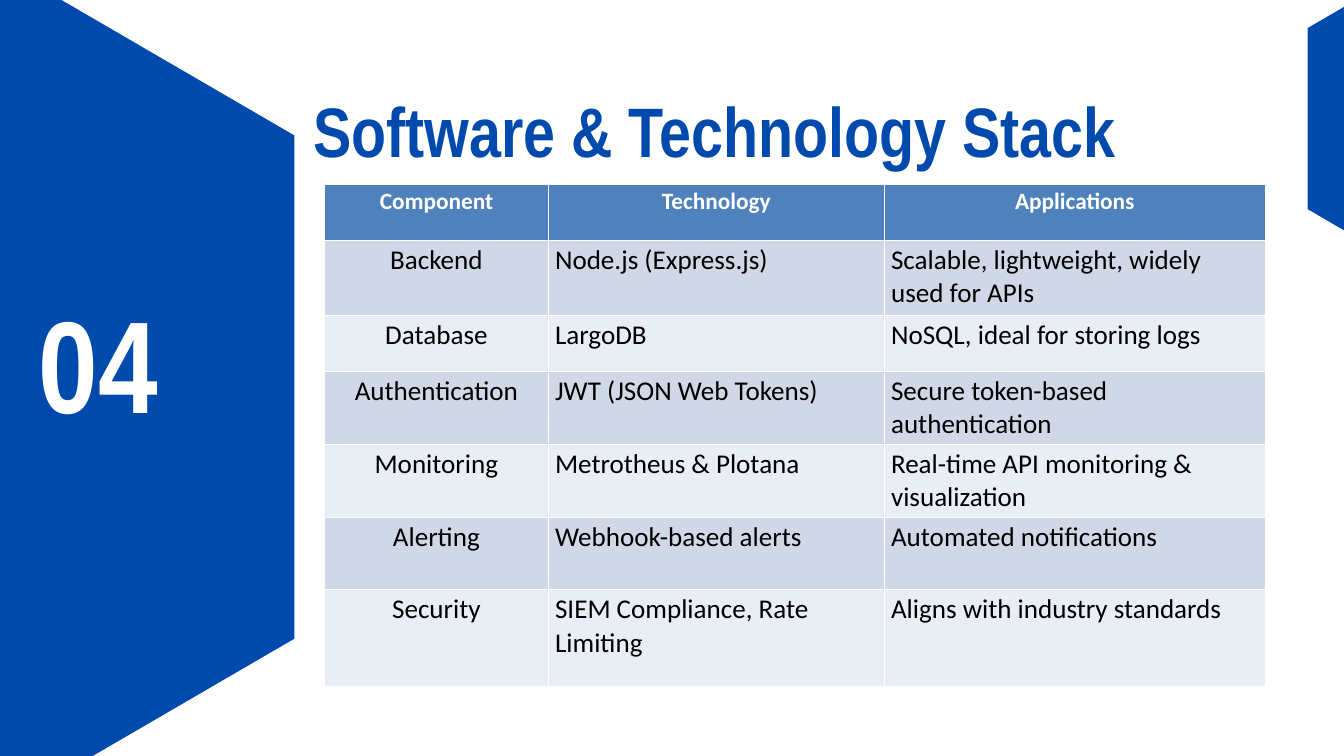
from pptx import Presentation
from pptx.dml.color import RGBColor
from pptx.enum.text import MSO_ANCHOR as Anchor, MSO_AUTO_SIZE as Auto, PP_ALIGN as Align
from pptx.util import Inches, Pt

COLORS = {
    "blue": "004AAD",
    "white": "FFFFFF",
    "black": "000000",
    "head": "4F81BD",
    "dark": "D0D8E8",
    "light": "E9EDF4",
}
COLS = [3.33, 5, 5.67]
ROWS = [
    (0.83, "Component", "Technology", "Applications"),
    (1.13, "Backend", "Node.js (Express.js)", "Scalable, lightweight, widely used for APIs"),
    (0.83, "Database", "LargoDB", "NoSQL, ideal for storing logs"),
    (0.75, "Authentication", "JWT (JSON Web Tokens)", "Secure token-based authentication"),
    (1, "Monitoring", "Metrotheus & Plotana", "Real-time API monitoring & visualization"),
    (1.08, "Alerting", "Webhook-based alerts", "Automated notifications"),
    (1.44, "Security", "SIEM Compliance, Rate Limiting", "Aligns with industry standards"),
]


def color(name):
    return RGBColor.from_string(COLORS[name])


def style(par, face, size, tint, bold, align=Align.LEFT):
    par.alignment = align
    font = par.font
    font.name, font.size, font.bold = face, Pt(size), bold
    font.color.rgb = color(tint)


def add_hexagon(slide, left, top, width, height):
    """Draw a hexagon that stands on a corner."""
    mid, right = left + width / 2, left + width
    high, low, foot = top + height / 4, top + height * 3 / 4, top + height
    points = [(right, high), (right, low), (mid, foot), (left, low), (left, high)]
    pen = slide.shapes.build_freeform(Inches(mid), Inches(top))
    pen.add_line_segments([(Inches(x), Inches(y)) for x, y in points])
    shape = pen.convert_to_shape()
    shape.shadow.inherit = False
    shape.fill.solid()
    shape.fill.fore_color.rgb = color("blue")
    shape.line.fill.background()


def set_heading(shape, box, text, size, lead, tint):
    """Place one bold line in a box without margins."""
    shape.left, shape.top, shape.width, shape.height = map(Inches, box)
    frame = shape.text_frame
    frame.text = text
    frame.word_wrap = True
    frame.auto_size = Auto.NONE
    frame.vertical_anchor = Anchor.TOP
    frame.margin_left = frame.margin_right = 0
    frame.margin_top = frame.margin_bottom = 0
    par = frame.paragraphs[0]
    par.line_spacing = Pt(lead)
    style(par, "Arial Narrow", size, tint, True)


def add_stack(slide, left, top):
    """Add the table of components."""
    box = (left, top, sum(COLS), sum(row[0] for row in ROWS))
    table = slide.shapes.add_table(len(ROWS), len(COLS), *map(Inches, box)).table
    for col, width in zip(table.columns, COLS):
        col.width = Inches(width)
    for r, (height, *texts) in enumerate(ROWS):
        table.rows[r].height = Inches(height)
        head = r == 0
        fill = "head" if head else "dark" if r % 2 else "light"
        for c, text in enumerate(texts):
            cell = table.cell(r, c)
            cell.text = text
            cell.fill.solid()
            cell.fill.fore_color.rgb = color(fill)
            style(
                cell.text_frame.paragraphs[0],
                "Calibri",
                25 if head else 29,
                "white" if head else "black",
                head,
                Align.CENTER if head or c == 0 else Align.LEFT,
            )


def main():
    deck = Presentation()
    deck.slide_width, deck.slide_height = Inches(20), Inches(11.25)
    slide = deck.slides.add_slide(deck.slide_layouts[5])
    add_hexagon(slide, -8.5, -1.73, 12.88, 14.98)
    add_hexagon(slide, 19.46, -0.93, 4.63, 5.39)
    title = slide.shapes.title
    set_heading(title, (4.66, 1.21, 14.5, 1.27), "Software & Technology Stack", 75, 97, "blue")
    number = slide.shapes.add_textbox(0, 0, 0, 0)
    set_heading(number, (0.58, 4.6, 2.36, 1.96), "04", 140, 140, "white")
    add_stack(slide, 4.83, 2.74)
    deck.save("out.pptx")


if __name__ == "__main__":
    main()
